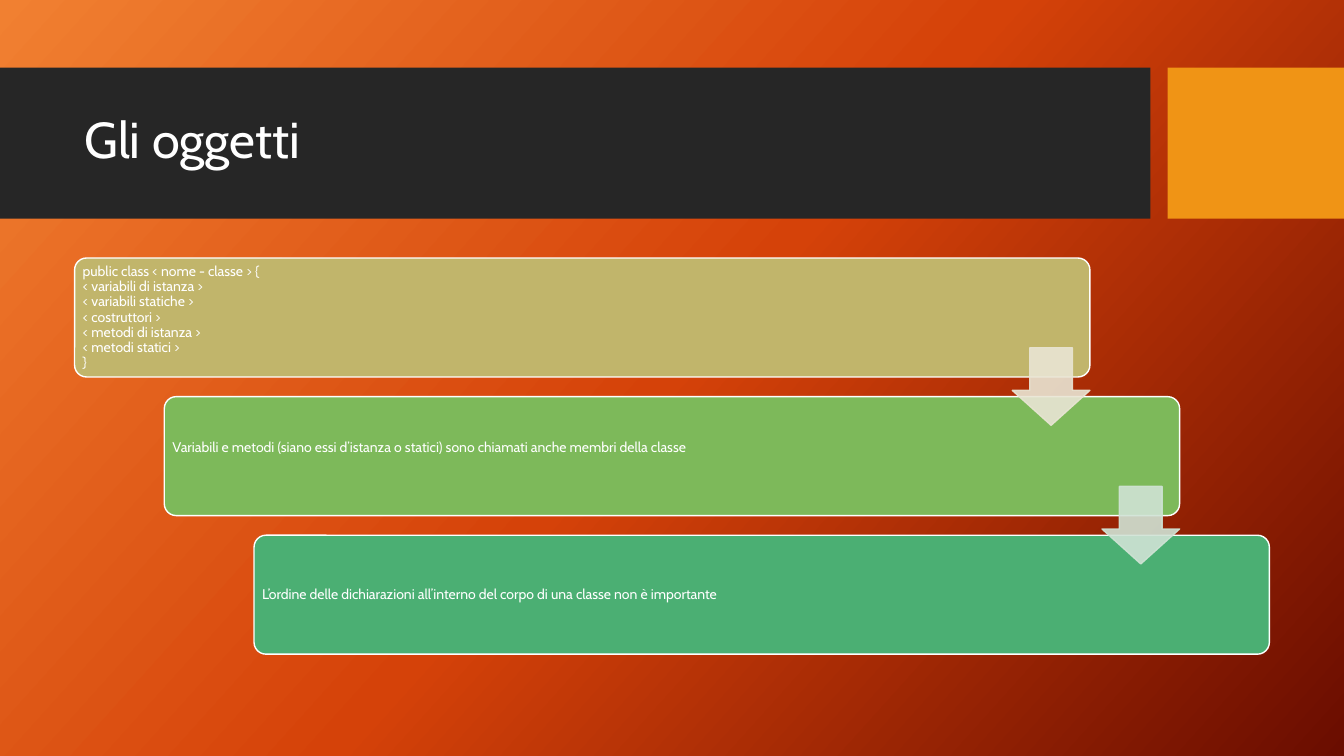
from lxml import etree
from pptx import Presentation
from pptx.dml.color import RGBColor
from pptx.enum.shapes import MSO_SHAPE
from pptx.enum.text import MSO_ANCHOR
from pptx.oxml.ns import qn
from pptx.util import Inches, Pt

RECTANGLE = MSO_SHAPE.RECTANGLE
ROUNDED = MSO_SHAPE.ROUNDED_RECTANGLE
DOWN_ARROW = MSO_SHAPE.DOWN_ARROW
MIDDLE = MSO_ANCHOR.MIDDLE

THEME = {
    "font": "Cabin",
    "title_size": 36,
    "body_size": 10,
    "text": "FFFFFF",
    "band": "262626",
    "accent": "F09415",
    "steps": ["C1B56B", "7DB95A", "4BAF73"],
    "arrows": ["E9E5D4", "D0E3D5"],
    "arrow_opacity": 90,
    "background": [(0, "F18031"), (50, "D54209"), (100, "6A0D00")],
    "background_angle": 42,
}

STEPS = [
    ["public class < nome - classe > {", "< variabili di istanza >",
     "< variabili statiche >", "< costruttori >", "< metodi di istanza >",
     "< metodi statici >", "}"],
    ["Variabili e metodi (siano essi d’istanza o statici) sono chiamati "
     "anche membri della classe", ""],
    ["L’ordine delle dichiarazioni all’interno del corpo di una classe "
     "non è importante"],
]


def add_block(kind, left, top, width, height, fill, line=None):
    shape = slide.shapes.add_shape(
        kind, Inches(left), Inches(top), Inches(width), Inches(height))
    shape.shadow.inherit = False
    shape.fill.solid()
    shape.fill.fore_color.rgb = RGBColor.from_string(fill)
    if line:
        shape.line.color.rgb = RGBColor.from_string(line)
        shape.line.width = Pt(1)
    else:
        shape.line.fill.background()
    return shape


def add_text(lines, left, top, width, height, size, inset):
    box = slide.shapes.add_textbox(
        Inches(left), Inches(top), Inches(width), Inches(height))
    frame = box.text_frame
    frame.word_wrap = True
    frame.vertical_anchor = MIDDLE
    frame.margin_left = frame.margin_right = Inches(inset)
    frame.margin_top = frame.margin_bottom = Inches(0.04)
    para = frame.paragraphs[0]
    para.line_spacing = 0.9
    para.font.size = Pt(size)
    for index, line in enumerate(lines):
        if index:
            para.add_line_break()
        if line:
            span = para.add_run()
            span.text = line
            span.font.name = THEME["font"]
            span.font.size = Pt(size)
            span.font.color.rgb = RGBColor.from_string(THEME["text"])


deck = Presentation()
deck.slide_width, deck.slide_height = Inches(13.33), Inches(7.5)
slide = deck.slides.add_slide(deck.slide_layouts[6])

# Background: three-stop diagonal gradient
background = slide.background.fill
background.gradient()
gradient = slide.background._cSld.find(".//" + qn("a:gradFill"))
stops = gradient.find(qn("a:gsLst"))
for stop in list(stops):
    stops.remove(stop)
for position, color in THEME["background"]:
    stop = etree.SubElement(stops, qn("a:gs"), pos=str(position * 1000))
    etree.SubElement(stop, qn("a:srgbClr"), val=color)
direction = gradient.find(qn("a:lin"))
direction.set("ang", str(THEME["background_angle"] * 60000))
direction.set("scaled", "0")

# Title band
add_block(RECTANGLE, 0, 0.67, 11.41, 1.5, THEME["band"])
add_block(RECTANGLE, 11.58, 0.67, 1.75, 1.5, THEME["accent"])
add_text(["Gli oggetti"], 0.74, 0.82, 10.51, 1.18, THEME["title_size"], 0.1)

# Staircase of steps
step_left, step_top, step_width, step_height = 0.74, 2.56, 10.07, 1.18
shift_right, shift_down = 0.89, 1.375
for index, (lines, color) in enumerate(zip(STEPS, THEME["steps"])):
    left = step_left + index * shift_right
    top = step_top + index * shift_down
    step = add_block(ROUNDED, left, top, step_width, step_height,
                     color, THEME["text"])
    step.adjustments[0] = 0.1
    text_width = 8.34 if index else 8.79
    add_text(lines, left + 0.04, top + 0.035, text_width, 1.11,
             THEME["body_size"], 0.04)

# Translucent arrows at the right end of each step
arrow_size = 0.77
for index, color in enumerate(THEME["arrows"]):
    arrow = add_block(DOWN_ARROW,
                      step_left + step_width - arrow_size + index * shift_right,
                      3.45 + index * shift_down,
                      arrow_size, arrow_size, color, color)
    arrow.adjustments[0] = 0.55
    arrow.adjustments[1] = 0.45
    for paint in arrow._element.spPr.iter(qn("a:srgbClr")):
        etree.SubElement(paint, qn("a:alpha"),
                         val=str(THEME["arrow_opacity"] * 1000))

deck.save("out.pptx")
